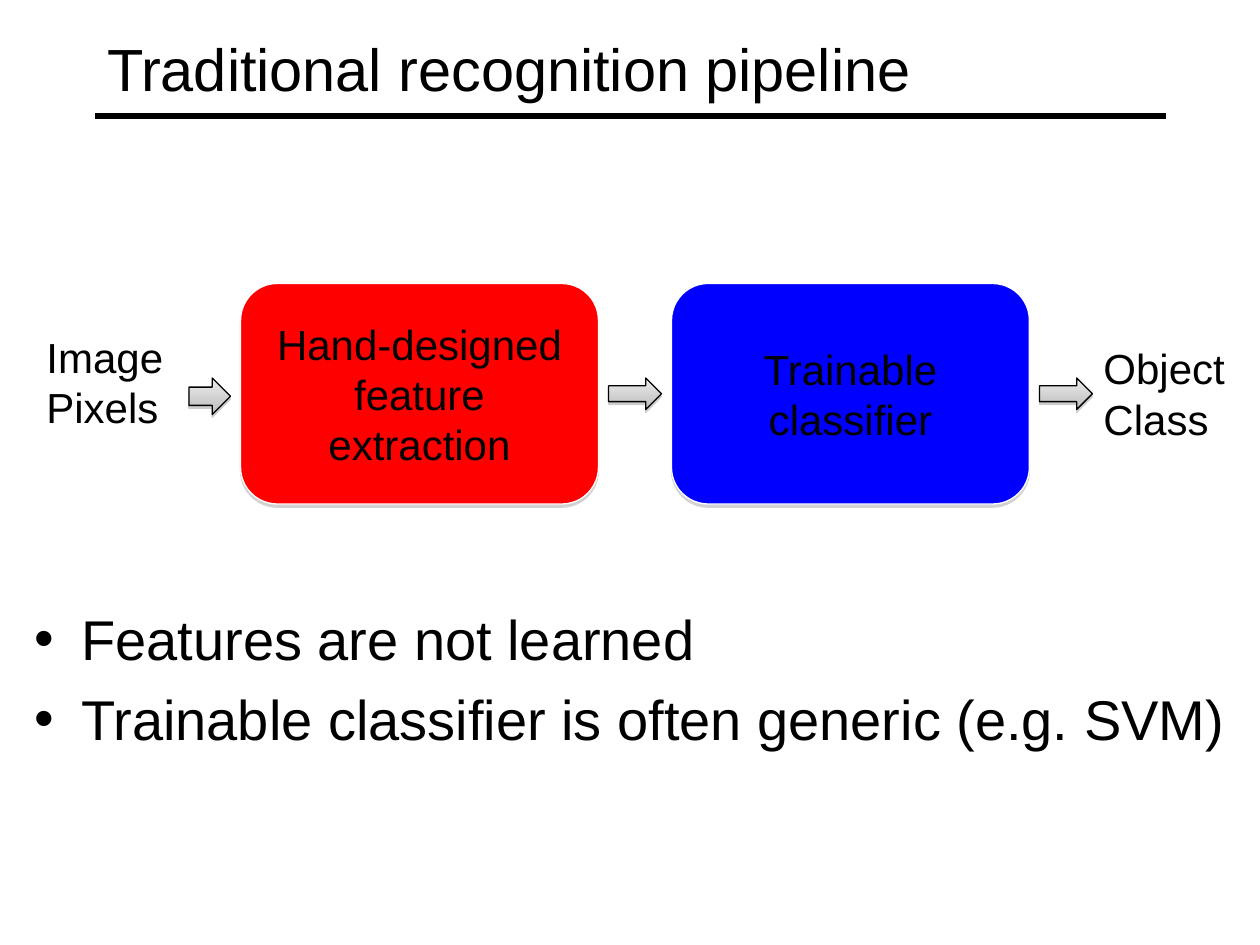
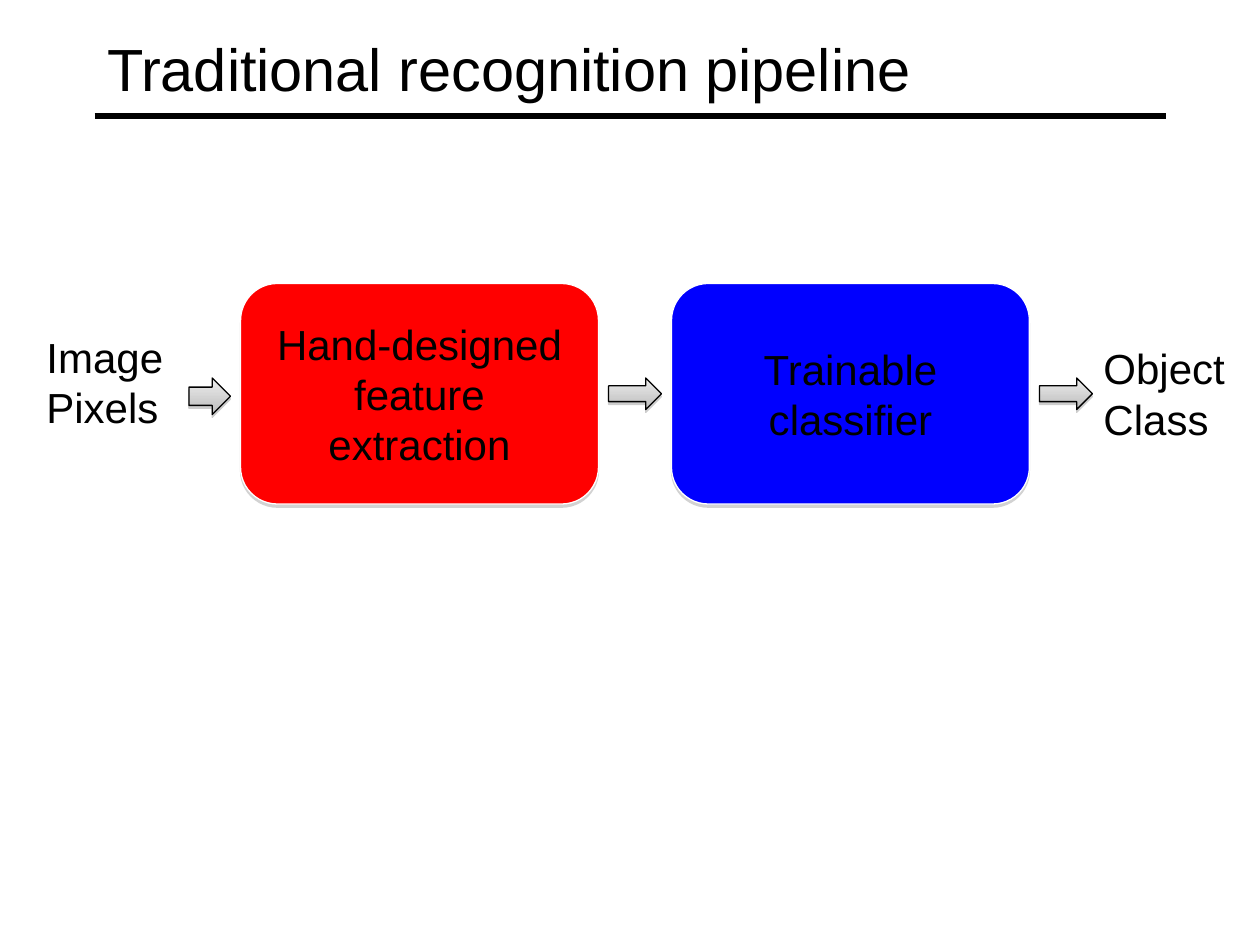
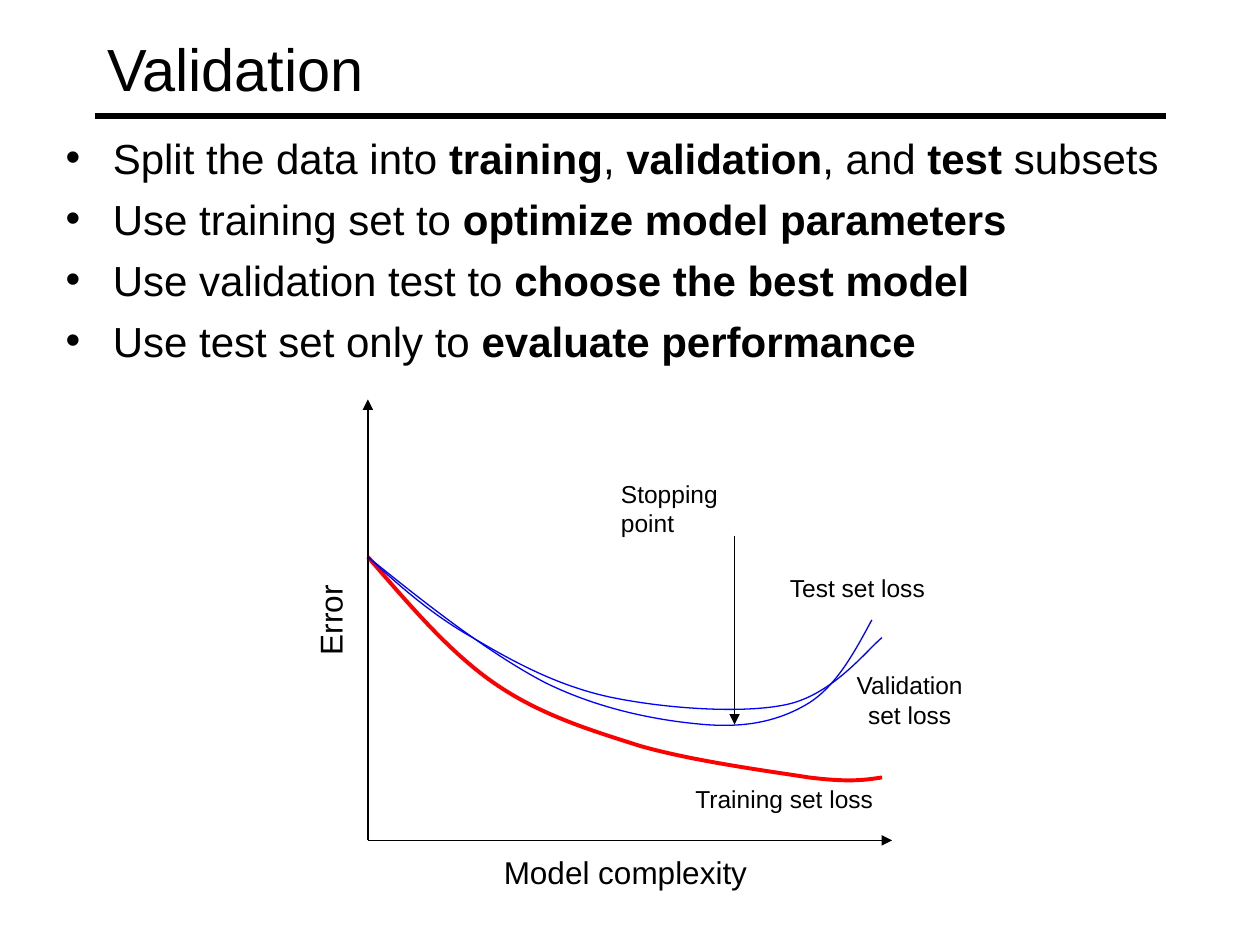
"""Build three slides on the traditional recognition pipeline and on validation."""
import pptx
import pptx.dml.color
import pptx.enum.shapes
import pptx.enum.text
import pptx.oxml.ns
import pptx.util
from lxml import etree

Inches = pptx.util.Inches
Pt = pptx.util.Pt
qn = pptx.oxml.ns.qn
RGBColor = pptx.dml.color.RGBColor
SHAPE = pptx.enum.shapes.MSO_SHAPE
ALIGN = pptx.enum.text.PP_ALIGN

BLACK = RGBColor(0x00, 0x00, 0x00)
WHITE = RGBColor(0xFF, 0xFF, 0xFF)
RED = RGBColor(0xFF, 0x00, 0x00)
BLUE = RGBColor(0x00, 0x00, 0xFF)
LIGHT_GREY = RGBColor(0xED, 0xED, 0xED)
MID_GREY = RGBColor(0xBC, 0xBC, 0xBC)
FONT = "Arial"


def style_text(frame, size, alignment=ALIGN.LEFT, gap=0):
    """Give every paragraph of a frame the shared font and spacing."""
    for index, paragraph in enumerate(frame.paragraphs):
        paragraph.alignment = alignment
        paragraph.space_before = Pt(gap if index else 0)
        paragraph.font.name = FONT
        paragraph.font.size = Pt(size)
        paragraph.font.color.rgb = BLACK


def add_line(page, start, end, width, arrow=False):
    """Draw a straight black line, with an arrowhead at its end if asked."""
    line = page.shapes.add_connector(
        pptx.enum.shapes.MSO_CONNECTOR.STRAIGHT,
        *(Inches(value) for value in start + end))
    line.line.color.rgb = BLACK
    line.line.width = Pt(width)
    properties = line.element.spPr
    if arrow:
        etree.SubElement(properties.find(qn("a:ln")), qn("a:tailEnd"), type="triangle")
    etree.SubElement(properties, qn("a:effectLst"))


deck = pptx.Presentation()
deck.slide_width = Inches(10)
deck.slide_height = Inches(7.5)

TITLE_AND_BODY, TITLE_ONLY = 1, 5
PAGES = [
    ("Traditional recognition pipeline", TITLE_AND_BODY),
    ("Traditional recognition pipeline", TITLE_ONLY),
    ("Validation", TITLE_AND_BODY),
]
for heading, layout in PAGES:
    page = deck.slides.add_slide(deck.slide_layouts[layout])
    add_line(page, (0.75, 0.92), (9.25, 0.92), 3)
    title = page.shapes.title
    title.left, title.top = Inches(0.75), Inches(0.08)
    title.width, title.height = Inches(8.5), Inches(0.92)
    title.text_frame.text = heading
    style_text(title.text_frame, 34)

pipeline_page, repeat_page, validation_page = deck.slides

BODIES = [
    (pipeline_page, (0.17, 4.75, 9.67, 1.83), 32, 7, [
        "Features are not learned",
        "Trainable classifier is often generic (e.g. SVM)",
    ]),
    (validation_page, (0.42, 1, 9, 5.75), 24, 6, [
        "Split the data into *training*, *validation*, and *test* subsets",
        "Use training set to *optimize model parameters*",
        "Use validation test to *choose the best model*",
        "Use test set only to *evaluate performance*",
    ]),
]
for page, area, size, gap, lines in BODIES:
    body = page.placeholders[1]
    body.left, body.top, body.width, body.height = map(Inches, area)
    frame = body.text_frame
    for index, line in enumerate(lines):
        paragraph = frame.add_paragraph() if index else frame.paragraphs[0]
        for position, words in enumerate(line.split("*")):
            if words:
                span = paragraph.add_run()
                span.text = words
                if position % 2:
                    span.font.bold = True
    style_text(frame, size, gap=gap)

STAGES = [
    (1.91, "Hand-designed\vfeature extraction", RED),
    (5.33, "Trainable\vclassifier", BLUE),
]
ARROWS = [(1.5, 0.33, 0.29), (4.83, 0.42, 0.25), (8.25, 0.42, 0.25)]
LABELS = [
    (0.27, 2.58, 1.98, 0.91, "Image\nPixels", 24, ALIGN.LEFT, 0),
    (8.66, 2.67, 1.17, 0.91, "Object\vClass", 24, ALIGN.LEFT, 0),
]
CHART_LABELS = [
    (3.9, 6.72, 2.78, 0.5, "Model complexity", 18, ALIGN.LEFT, 0),
    (2.24, 4.72, 0.76, 0.4, "Error", 18, ALIGN.LEFT, 270),
    (5.42, 6.17, 1.62, 0.33, "Training set loss", 14, ALIGN.LEFT, 0),
    (6.17, 4.5, 1.29, 0.33, "Test set loss", 14, ALIGN.LEFT, 0),
    (6.69, 5.27, 1.06, 0.57, "Validation\nset loss", 14, ALIGN.CENTER, 0),
    (4.83, 3.75, 1.44, 0.33, "Stopping point", 14, ALIGN.LEFT, 0),
]

for page in (pipeline_page, repeat_page):
    shadowed = []
    for left, words, colour in STAGES:
        stage = page.shapes.add_shape(
            SHAPE.ROUNDED_RECTANGLE, Inches(left), Inches(2.25), Inches(2.84), Inches(1.75))
        stage.fill.solid()
        stage.fill.fore_color.rgb = colour
        stage.line.color.rgb = WHITE
        stage.text_frame.text = words
        style_text(stage.text_frame, 24, ALIGN.CENTER)
        shadowed.append((stage, 1.8, 35))
    for left, width, height in ARROWS:
        arrow = page.shapes.add_shape(
            SHAPE.RIGHT_ARROW, Inches(left), Inches(3), Inches(width), Inches(height))
        arrow.fill.gradient()
        arrow.fill.gradient_angle = 270
        for stop, colour in zip(arrow.fill.gradient_stops, (LIGHT_GREY, MID_GREY)):
            stop.color.rgb = colour
        arrow.line.color.rgb = BLACK
        shadowed.append((arrow, 1.6, 38))
    for shape, distance, opacity in shadowed:
        shape.line.width = Pt(0.75)
        shape.shadow.inherit = False
        shadow = etree.SubElement(
            shape.element.spPr.find(qn("a:effectLst")), qn("a:outerShdw"),
            blurRad="0", dist=str(Pt(distance)), dir="5400000", rotWithShape="0")
        tint = etree.SubElement(shadow, qn("a:srgbClr"), val="808080")
        etree.SubElement(tint, qn("a:alpha"), val=str(opacity * 1000))

CURVES = [
    (RED, 2.25, [
        (2.92, 4.42), (3.24, 4.79), (3.56, 5.17), (3.92, 5.42), (4.28, 5.67),
        (4.67, 5.79), (5.08, 5.92), (5.5, 6.04), (6.1, 6.12), (6.42, 6.17),
        (6.74, 6.21), (6.87, 6.19), (7, 6.17)]),
    (BLUE, 0.75, [
        (2.92, 4.42), (3.17, 4.65), (3.43, 4.88), (3.75, 5.06), (4.07, 5.25),
        (4.42, 5.44), (4.83, 5.53), (5.25, 5.62), (5.89, 5.67), (6.25, 5.59),
        (6.61, 5.51), (6.88, 5.16), (7, 5.06)]),
    (BLUE, 0.75, [
        (2.92, 4.42), (3.4, 4.81), (3.89, 5.19), (4.33, 5.42), (4.78, 5.64),
        (5.24, 5.72), (5.58, 5.75), (5.93, 5.78), (6.19, 5.72), (6.42, 5.58),
        (6.64, 5.44), (6.78, 5.18), (6.92, 4.92)]),
]
for colour, width, points in CURVES:
    start, *controls = [(Inches(x), Inches(y)) for x, y in points]
    builder = validation_page.shapes.build_freeform(*start)
    builder.add_line_segments(controls, close=False)
    curve = builder.convert_to_shape()
    curve.fill.background()
    curve.line.color.rgb = colour
    curve.line.width = Pt(width)
    curve.shadow.inherit = False
    outline = next(curve.element.iter(qn("a:path")))
    segments = outline.findall(qn("a:lnTo"))
    for first in range(0, len(segments), 3):
        bezier = etree.SubElement(outline, qn("a:cubicBezTo"))
        for segment in segments[first:first + 3]:
            bezier.append(segment[0])
            outline.remove(segment)

origin = (2.92, 6.67)
for start, end in [(origin, (7.08, 6.67)), (origin, (2.92, 3.17)), ((5.83, 4.25), (5.83, 5.75))]:
    add_line(validation_page, start, end, 0.75, arrow=True)

for page, labels in [(pipeline_page, LABELS), (repeat_page, LABELS), (validation_page, CHART_LABELS)]:
    for left, top, width, height, words, size, alignment, rotation in labels:
        box = page.shapes.add_textbox(Inches(left), Inches(top), Inches(width), Inches(height))
        box.rotation = rotation
        box.text_frame.word_wrap = words.startswith("Image")
        box.text_frame.auto_size = pptx.enum.text.MSO_AUTO_SIZE.SHAPE_TO_FIT_TEXT
        box.text_frame.text = words
        style_text(box.text_frame, size, alignment)

deck.save("out.pptx")
